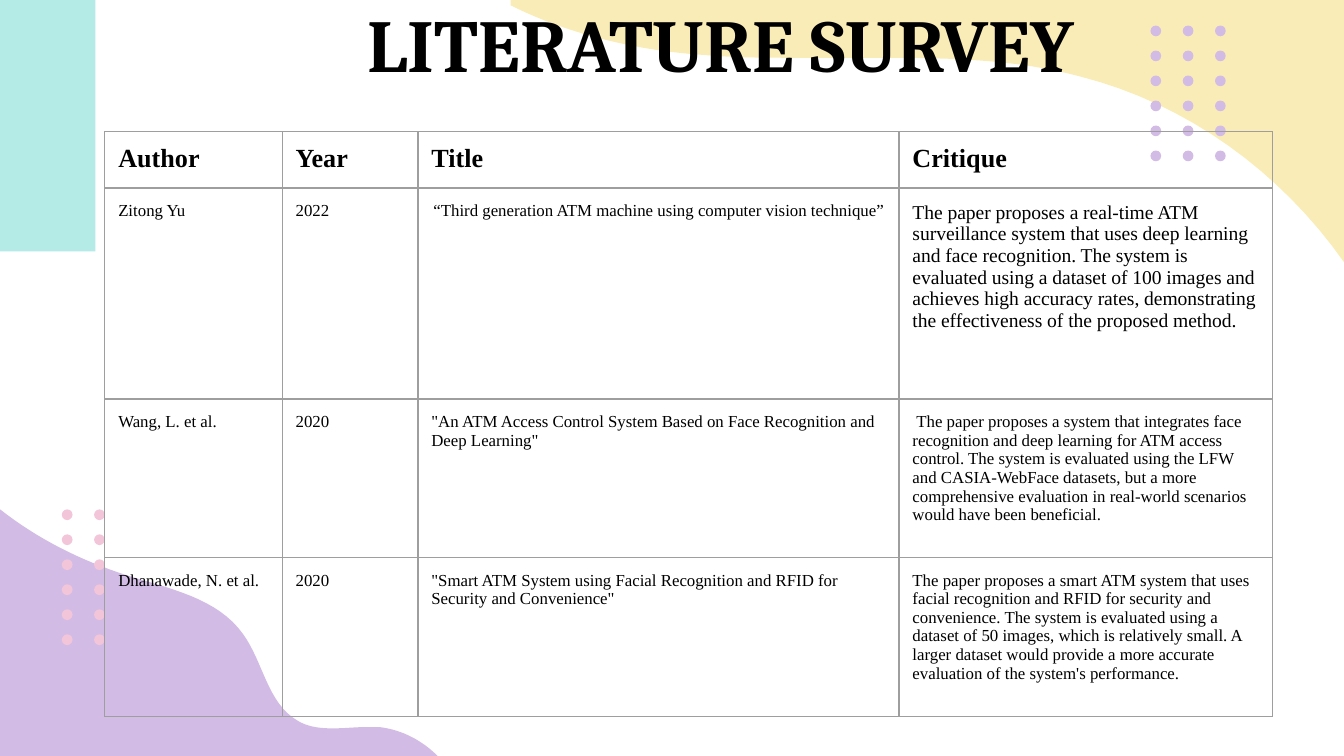
from pptx import Presentation
from pptx.dml.color import RGBColor
from pptx.enum.shapes import MSO_SHAPE
from pptx.enum.text import MSO_ANCHOR, PP_ALIGN
from pptx.oxml import parse_xml
from pptx.oxml.ns import nsdecls
from pptx.util import Inches, Pt

THEME = {
    "yellow": "FAECB6", "purple": "D2BCE6", "pink": "F3C5D8", "teal": "B5EBE7",
    "ink": "000000", "border": "9E9E9E", "border_width": 0.75,
    "title_font": "Cambria", "body_font": "Times New Roman",
    "title": 40, "header": 14, "body": 9, "large": 10.5,
    "inset": 0.1, "header_inset": 0.09,
}

TITLE = "LITERATURE SURVEY"
HEADERS = ("Author", "Year", "Title", "Critique")
PAPERS = [
    ("Zitong Yu", "2022",
     "“Third generation ATM machine using computer vision technique”",
     "The paper proposes a real-time ATM surveillance system that uses deep learning and face "
     "recognition. The system is evaluated using a dataset of 100 images and achieves high accuracy "
     "rates, demonstrating the effectiveness of the proposed method."),
    ("Wang, L. et al.", "2020",
     '"An ATM Access Control System Based on Face Recognition and Deep Learning"',
     " The paper proposes a system that integrates face recognition and deep learning for ATM access "
     "control. The system is evaluated using the LFW and CASIA-WebFace datasets, but a more "
     "comprehensive evaluation in real-world scenarios would have been beneficial."),
    ("Dhanawade, N. et al.", "2020",
     '"Smart ATM System using Facial Recognition and RFID for Security and Convenience"',
     "The paper proposes a smart ATM system that uses facial recognition and RFID for security and "
     "convenience. The system is evaluated using a dataset of 50 images, which is relatively small. "
     "A larger dataset would provide a more accurate evaluation of the system's performance."),
]
COLUMNS = (1.32, 1.01, 3.58, 2.78)
ROWS = (0.42, 1.57, 1.18, 1.18)
CELL_FORMATS = {
    (1, 2): {"align": PP_ALIGN.CENTER},
    (1, 3): {"size": THEME["large"]},
}

BLOBS = [
    ("yellow", [(10, 1.95), (10, -2.47), (3.8, -2.47), (3.8, 0.04)],
     [(4.24, 0.26, 4.76, 0.38, 5.25, 0.41), (5.47, 0.43, 5.69, 0.43, 5.92, 0.43),
      (6.13, 0.43, 6.35, 0.43, 6.56, 0.43), (7.06, 0.43, 7.56, 0.44, 8.04, 0.57),
      (8.83, 0.77, 9.53, 1.28, 10, 1.95)]),
    ("purple", [(0, 3.79), (0, 6.29), (3.28, 6.29), (3.28, 5.65)],
     [(3.16, 5.52, 3, 5.43, 2.82, 5.41), (2.79, 5.41, 2.77, 5.41, 2.74, 5.41),
      (2.65, 5.41, 2.56, 5.42, 2.48, 5.42), (2.38, 5.42, 2.29, 5.41, 2.21, 5.36),
      (1.99, 5.23, 1.96, 4.93, 1.81, 4.72), (1.62, 4.45, 1.26, 4.38, 0.94, 4.28),
      (0.6, 4.17, 0.28, 4.01, 0, 3.79)]),
]
DOT_GRIDS = [("purple", 8.56, 0.19, 3), ("pink", 0.46, 3.79, 2)]
DOT_ROWS, DOT_SIZE = 6, 0.08
DOT_PITCH_X, DOT_PITCH_Y = 0.24, 0.93 / 5
CURVE_STEPS = 16


def paint(sp, color):
    sp.shadow.inherit = False
    sp.fill.solid()
    sp.fill.fore_color.rgb = RGBColor.from_string(THEME[color])
    sp.line.fill.background()


def add_preset(s, kind, box, color):
    paint(s.shapes.add_shape(kind, *map(Inches, box)), color)


def bezier(start, curve):
    points = [start, curve[:2], curve[2:4], curve[4:]]
    for step in range(1, CURVE_STEPS + 1):
        t = step / CURVE_STEPS
        weights = ((1 - t) ** 3, 3 * t * (1 - t) ** 2, 3 * t * t * (1 - t), t ** 3)
        yield tuple(sum(w * pt[axis] for w, pt in zip(weights, points)) for axis in (0, 1))


def add_blob(s, color, corners, curves):
    outline = list(corners)
    for curve in curves:
        outline.extend(bezier(outline[-1], curve))
    start, *rest = [(Inches(x), Inches(y)) for x, y in outline]
    builder = s.shapes.build_freeform(*start)
    builder.add_line_segments(rest, close=True)
    paint(builder.convert_to_shape(), color)


def add_dots(s, color, left, top, columns):
    for col in range(columns):
        for row in range(DOT_ROWS):
            box = (left + col * DOT_PITCH_X, top + row * DOT_PITCH_Y, DOT_SIZE, DOT_SIZE)
            add_preset(s, MSO_SHAPE.OVAL, box, color)


def set_margins(target, vertical=THEME["inset"]):
    margins = {"left": THEME["inset"], "right": THEME["inset"], "top": vertical, "bottom": vertical}
    for side, value in margins.items():
        setattr(target, f"margin_{side}", Inches(value))


def write(tf, text, font, size, bold=False, align=PP_ALIGN.LEFT):
    p = tf.paragraphs[0]
    p.alignment = align
    r = p.add_run()
    r.text = text
    for name, value in {"name": font, "size": Pt(size), "bold": bold}.items():
        setattr(r.font, name, value)
    r.font.color.rgb = RGBColor.from_string(THEME["ink"])


def add_borders(cell):
    tc_pr = cell._tc.get_or_add_tcPr()
    for index, side in enumerate("LRTB"):
        tc_pr.insert(index, parse_xml(
            f'<a:ln{side} {nsdecls("a")} w="{Pt(THEME["border_width"])}"><a:solidFill>'
            f'<a:srgbClr val="{THEME["border"]}"/></a:solidFill></a:ln{side}>'))


def add_survey(s):
    box = (0.78, 0.98, sum(COLUMNS), sum(ROWS))
    table = s.shapes.add_table(len(ROWS), len(COLUMNS), *map(Inches, box)).table
    table.first_row = table.horz_banding = False
    for column, width in zip(table.columns, COLUMNS):
        column.width = Inches(width)
    for row, height in zip(table.rows, ROWS):
        row.height = Inches(height)
    for i, texts in enumerate([HEADERS, *PAPERS]):
        for j, text in enumerate(texts):
            cell = table.cell(i, j)
            set_margins(cell, THEME["inset"] if i else THEME["header_inset"])
            cell.fill.background()
            add_borders(cell)
            style = {"size": THEME["body"] if i else THEME["header"], "bold": i == 0}
            style.update(CELL_FORMATS.get((i, j), {}))
            write(cell.text_frame, text, THEME["body_font"], **style)


def add_title(s):
    tf = s.shapes.add_textbox(*map(Inches, (1.81, 0.07, 7.11, 0.68))).text_frame
    set_margins(tf)
    tf.word_wrap = True
    tf.vertical_anchor = MSO_ANCHOR.BOTTOM
    write(tf, TITLE, THEME["title_font"], THEME["title"], True, PP_ALIGN.CENTER)


def main():
    prs = Presentation()
    prs.slide_width, prs.slide_height = Inches(10), Inches(10 * 9 / 16)
    s = prs.slides.add_slide(prs.slide_layouts[6])
    for blob, dots in zip(BLOBS, DOT_GRIDS):
        add_blob(s, *blob)
        add_dots(s, *dots)
    add_title(s)
    add_preset(s, MSO_SHAPE.RECTANGLE, (-0.12, -0.08, 0.83, 1.95), "teal")
    add_survey(s)
    prs.save("out.pptx")


if __name__ == "__main__":
    main()
